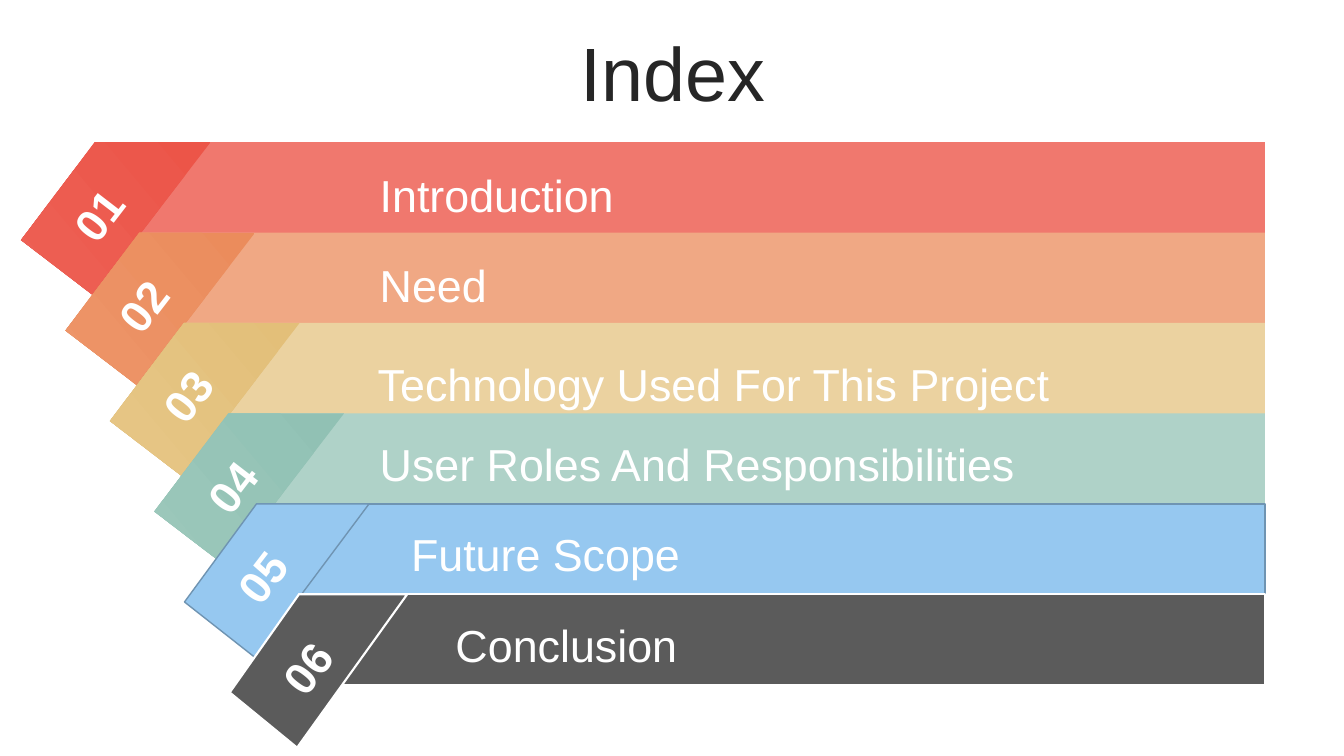
import pptx
import pptx.dml.color
import pptx.enum.shapes
import pptx.enum.text
import pptx.util

Cm = pptx.util.Cm
Pt = pptx.util.Pt
RGBColor = pptx.dml.color.RGBColor
PP_ALIGN = pptx.enum.text.PP_ALIGN
MSO_ANCHOR = pptx.enum.text.MSO_ANCHOR

WHITE = RGBColor(0xFF, 0xFF, 0xFF)
TITLE_COLOR = RGBColor(0x26, 0x26, 0x26)
RED = RGBColor(0xF0, 0x78, 0x6E)
RED_TAB = (RGBColor(0xEC, 0x55, 0x48), RGBColor(0xED, 0x60, 0x55))
ORANGE = RGBColor(0xF0, 0xA8, 0x84)
ORANGE_TAB = (RGBColor(0xEB, 0x8C, 0x5C), RGBColor(0xED, 0x95, 0x69))
SAND = RGBColor(0xEB, 0xD2, 0xA0)
SAND_TAB = (RGBColor(0xE3, 0xBF, 0x79), RGBColor(0xE6, 0xC6, 0x86))
GREEN = RGBColor(0xAF, 0xD2, 0xC8)
GREEN_TAB = (RGBColor(0x91, 0xC1, 0xB4), RGBColor(0x9B, 0xC7, 0xBA))
BLUE = RGBColor(0x96, 0xC8, 0xF0)
BLUE_EDGE = RGBColor(0x6F, 0x94, 0xB2)
GRAY = RGBColor(0x5B, 0x5B, 0x5B)

TITLE = "Index"
# label, label left, label drop, line spacing, tab left, tab width, bar colour, tab colours, outline
ENTRIES = [
    ("Introduction", 9.32, 0.53, 1.0, 0.53, 4.78, RED, RED_TAB, None),
    ("Need", 9.32, 0.5, 1.0, 1.65, 4.78, ORANGE, ORANGE_TAB, None),
    ("Technology Used For This Project", 9.27, 0.05, 1.5, 2.77, 4.78, SAND, SAND_TAB, None),
    ("User Roles And Responsibilities", 9.32, 0.46, 1.0, 3.89, 4.78, GREEN, GREEN_TAB, None),
    ("Future Scope", 10.11, 0.45, 1.0, 4.65, 4.65, BLUE, (BLUE,), (BLUE_EDGE, 1)),
    ("Conclusion", 11.23, 0.45, 1.0, 5.79, 4.47, GRAY, (GRAY,), (WHITE, 1.5)),
]

FIRST_TOP = 3.58
ROW_PITCH = 2.28
BAR_HEIGHT = 2.29
BAR_RIGHT = 31.88
BAR_INSET = 0.39
TAB_HEIGHT = 3.86
TAB_OUTLINE = [(0, 0.64), (0.38, 1), (1, 0), (0.39, 0)]


def style_shape(shape, colors, outline):
    shape.shadow.inherit = False
    if len(colors) == 1:
        shape.fill.solid()
        shape.fill.fore_color.rgb = colors[0]
    else:
        shape.fill.gradient()
        shape.fill.gradient_angle = 220
        for stop, color in zip(shape.fill.gradient_stops, colors):
            stop.color.rgb = color
    if outline:
        shape.line.color.rgb = outline[0]
        shape.line.width = Pt(outline[1])
    else:
        shape.line.fill.background()


def add_text(slide, text, box, size=32, color=WHITE, bold=False,
             align=PP_ALIGN.LEFT, anchor=MSO_ANCHOR.TOP, spacing=1.0):
    shape = slide.shapes.add_textbox(*map(Cm, box))
    text_frame = shape.text_frame
    text_frame.word_wrap = True
    text_frame.vertical_anchor = anchor
    text_frame.text = text
    paragraph = text_frame.paragraphs[0]
    paragraph.alignment = align
    paragraph.line_spacing = spacing
    font = paragraph.runs[0].font
    font.name = "Arial"
    font.size = Pt(size)
    font.bold = bold
    font.color.rgb = color
    return shape


def add_entry(slide, index, entry):
    label, label_left, label_drop, spacing, left, width, color, tab_colors, outline = entry
    top = FIRST_TOP + index * ROW_PITCH

    bar_left = left + BAR_INSET * width
    bar = slide.shapes.add_shape(
        pptx.enum.shapes.MSO_SHAPE.RECTANGLE,
        Cm(bar_left), Cm(top), Cm(BAR_RIGHT - bar_left), Cm(BAR_HEIGHT))
    style_shape(bar, (color,), outline)

    points = [(Cm(left + x * width), Cm(top + y * TAB_HEIGHT)) for x, y in TAB_OUTLINE]
    builder = slide.shapes.build_freeform(*points[0])
    builder.add_line_segments(points[1:], close=True)
    style_shape(builder.convert_to_shape(), tab_colors, outline)

    number = add_text(slide, f"{index + 1:02}", (left + 0.6, top + 1.03, 2.69, 1.62),
                      bold=True, align=PP_ALIGN.CENTER)
    number.rotation = 307.5
    add_text(slide, label, (label_left, top + label_drop, 18.82, 1.62), spacing=spacing)


def main():
    presentation = pptx.Presentation()
    presentation.slide_width = Cm(33.87)
    presentation.slide_height = Cm(19.05)
    slide = presentation.slides.add_slide(presentation.slide_layouts[6])
    add_text(slide, TITLE, (0.89, 0.94, 32.16, 2.01), size=54, color=TITLE_COLOR,
             align=PP_ALIGN.CENTER, anchor=MSO_ANCHOR.MIDDLE, spacing=0.9)
    for index, entry in enumerate(ENTRIES):
        add_entry(slide, index, entry)
    presentation.save("out.pptx")


if __name__ == "__main__":
    main()
